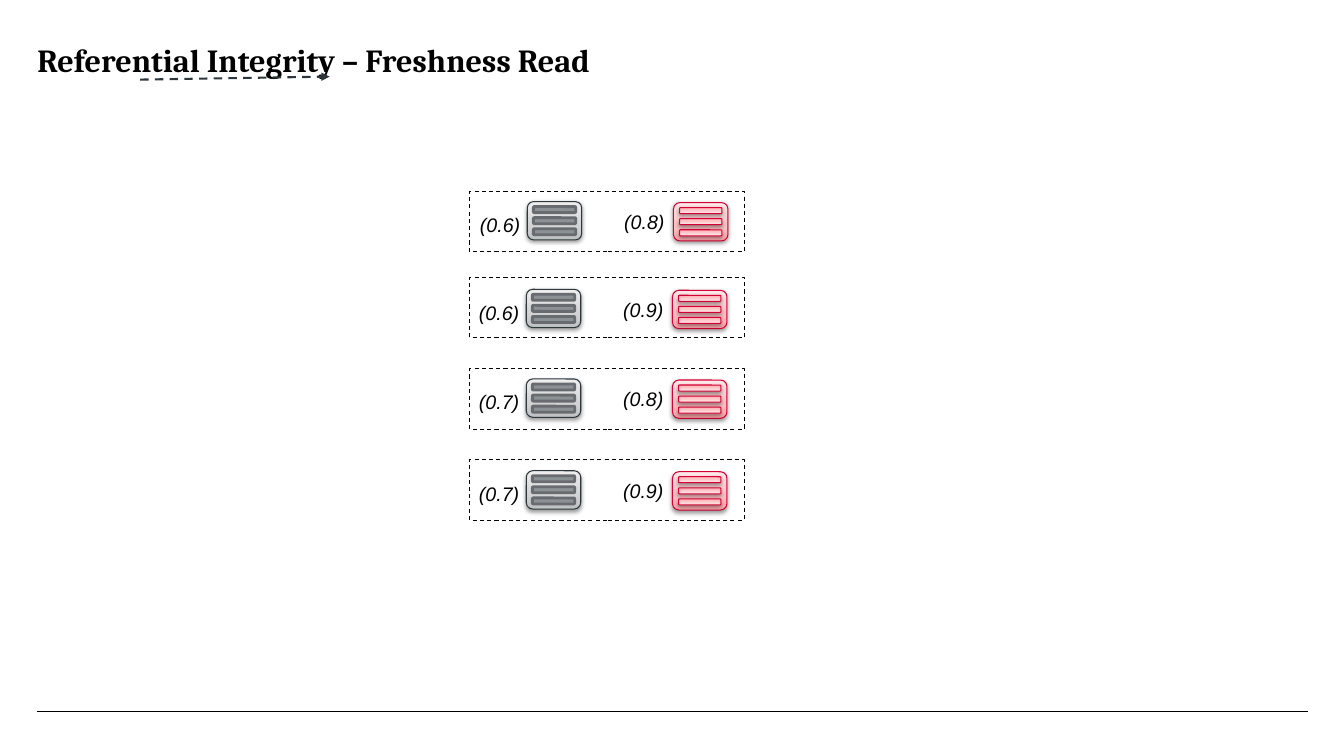
from lxml.etree import SubElement
from pptx import Presentation
from pptx.dml.color import RGBColor
from pptx.enum.dml import MSO_LINE_DASH_STYLE as Dash
from pptx.enum.shapes import MSO_CONNECTOR as Connector, MSO_SHAPE as Preset
from pptx.oxml.ns import qn
from pptx.util import Inches, Pt

BLACK = RGBColor(0, 0, 0)
SLATE = RGBColor(0x2C, 0x36, 0x3B)
CRIMSON = RGBColor(0xD2, 0x00, 0x33)
BAR_GREY = RGBColor(0x8C, 0x91, 0x96)
BAR_EDGE = RGBColor(0x68, 0x6B, 0x6F)
PINK_STOPS = [(0, "FFA8AC"), (35, "FFC1C4"), (100, "FFE8E9")]
GREY_STOPS = [(0, "BDBFC1"), (35, "D1D2D3"), (100, "EEEEEF")]

TITLE = "Referential Integrity – Freshness Read"
ROWS = [
    {"frame": 1.9, "icon": 2.0, "shift": 0.01, "grey": "(0.6)", "red": "(0.8)"},
    {"frame": 2.75, "icon": 2.87, "shift": 0, "grey": "(0.6)", "red": "(0.9)"},
    {"frame": 3.66, "icon": 3.76, "shift": 0, "grey": "(0.7)", "red": "(0.8)"},
    {"frame": 4.56, "icon": 4.67, "shift": 0, "grey": "(0.7)", "red": "(0.9)"},
]
RED_ICON = {"left": 6.67, "drop": 0.01, "label_left": 6.18, "label_drop": 0.01,
            "body": (PINK_STOPS, CRIMSON, 0.75), "bar": (PINK_STOPS, CRIMSON, 0.75)}
GREY_ICON = {"left": 5.22, "drop": 0, "label_left": 4.75, "label_drop": 0.04,
             "body": (GREY_STOPS, SLATE, 0.75), "bar": (BAR_GREY, BAR_EDGE, 2)}
FRAME_LEFT, FRAME_WIDTH, FRAME_HEIGHT = 4.66, 2.72, 0.6
ICON_WIDTH, ICON_HEIGHT = 0.54, 0.38
BAR_INSET, BAR_TOP, BAR_STEP, BAR_WIDTH, BAR_HEIGHT = 0.06, 0.05, 0.11, 0.42, 0.06

deck = Presentation()
deck.slide_width, deck.slide_height = Inches(13.33), Inches(7.5)
page = deck.slides.add_slide(deck.slide_layouts[6])


def add_text(text, area, size, spacing, font, bold=False, italic=False, wrap=False):
    box = page.shapes.add_textbox(*map(Inches, area))
    frame = box.text_frame
    frame.margin_left = frame.margin_right = frame.margin_top = frame.margin_bottom = 0
    frame.word_wrap = wrap
    para = frame.paragraphs[0]
    para.line_spacing = Pt(spacing)
    span = para.add_run()
    span.text = text
    span.font.name, span.font.size = font, Pt(size)
    span.font.bold, span.font.italic = bold, italic
    span.font.color.rgb = BLACK


def add_line(start, end, color, width):
    line = page.shapes.add_connector(Connector.STRAIGHT, *map(Inches, start + end))
    line.line.color.rgb, line.line.width = color, Pt(width)
    SubElement(line._element.spPr, qn("a:effectLst"))
    return line


def paint_gradient(shape, stops):
    shape.fill.gradient()
    shape.fill.gradient_angle = 90
    stop_list = next(shape._element.spPr.iter(qn("a:gsLst")))
    for old in list(stop_list):
        stop_list.remove(old)
    for position, color in stops:
        stop = SubElement(stop_list, qn("a:gs"), pos=str(position * 1000))
        SubElement(stop, qn("a:srgbClr"), val=color)


def add_shadow(shape):
    effects = shape._element.spPr.find(qn("a:effectLst"))
    shadow = SubElement(effects, qn("a:outerShdw"), blurRad=str(Pt(3.1)), dist=str(Pt(1.6)),
                        dir="5400000", rotWithShape="0")
    color = SubElement(shadow, qn("a:srgbClr"), val="000000")
    SubElement(color, qn("a:alpha"), val="38000")


def add_plate(group, area, style):
    fill, edge, width = style
    plate = group.shapes.add_shape(Preset.ROUNDED_RECTANGLE, *map(Inches, area))
    plate.line.color.rgb, plate.line.width = edge, Pt(width)
    plate.shadow.inherit = False
    if isinstance(fill, list):
        paint_gradient(plate, fill)
        add_shadow(plate)
    else:
        plate.fill.solid()
        plate.fill.fore_color.rgb = fill
    return plate


def add_icon(row, icon, label):
    left, top = icon["left"] + row["shift"], row["icon"] + icon["drop"]
    group = page.shapes.add_group_shape()
    add_plate(group, (left, top, ICON_WIDTH, ICON_HEIGHT), icon["body"])
    for index in range(3):
        bar = add_plate(group, (left + BAR_INSET, top + BAR_TOP + index * BAR_STEP,
                                BAR_WIDTH, BAR_HEIGHT), icon["bar"])
        bar._element.spPr.find(qn("a:xfrm")).set("flipV", "1")
    label_area = (icon["label_left"] + row["shift"], row["icon"] + icon["label_drop"], 0.41, 0.29)
    add_text(label, label_area, 14, 22, "Arial", italic=True)


add_line((0.37, 7.06), (12.97, 7.06), BLACK, 0.25)
add_text(TITLE, (0.37, 0.44, 12.6, 0.83), 23, 25, "Cambria", bold=True, wrap=True)
arrow = add_line((1.39, 0.79), (3.27, 0.76), SLATE, 1.5)
arrow.line.dash_style = Dash.DASH
SubElement(arrow.line._get_or_add_ln(), qn("a:tailEnd"), type="triangle")

for row in ROWS:
    add_icon(row, RED_ICON, row["red"])
    add_icon(row, GREY_ICON, row["grey"])
    frame = page.shapes.add_shape(Preset.RECTANGLE, *map(
        Inches, (FRAME_LEFT, row["frame"], FRAME_WIDTH, FRAME_HEIGHT)))
    frame.fill.background()
    frame.shadow.inherit = False
    frame.line.color.rgb, frame.line.width = BLACK, Pt(0.75)
    frame.line.dash_style = Dash.DASH

deck.save("out.pptx")
